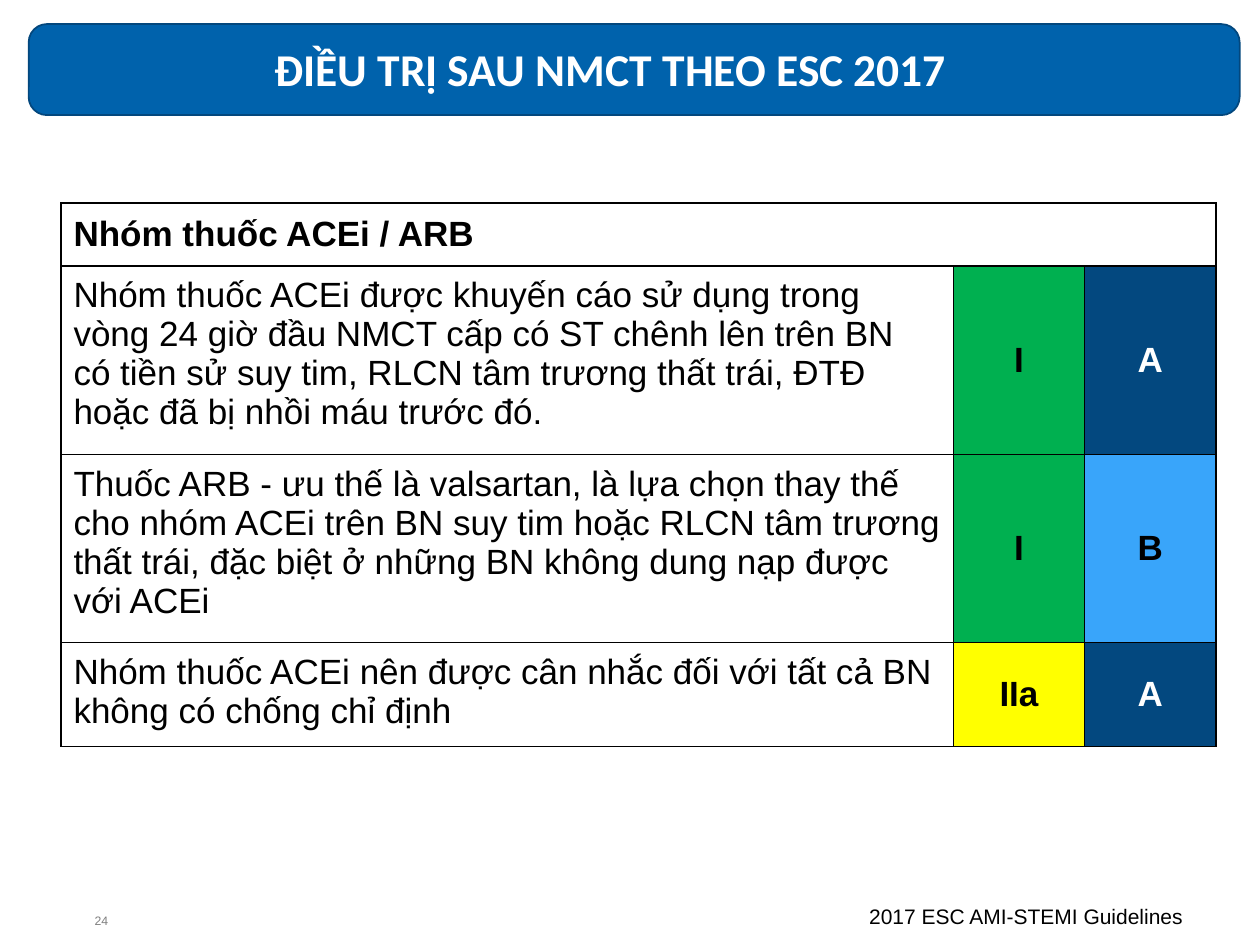
from lxml import etree
from pptx import Presentation
from pptx.dml.color import RGBColor
from pptx.enum.shapes import MSO_SHAPE
from pptx.enum.text import MSO_ANCHOR, PP_ALIGN
from pptx.oxml.ns import qn
from pptx.util import Pt

ROUNDED = MSO_SHAPE.ROUNDED_RECTANGLE
MIDDLE, TOP = MSO_ANCHOR.MIDDLE, MSO_ANCHOR.TOP
LEFT, CENTER = PP_ALIGN.LEFT, PP_ALIGN.CENTER

WHITE = RGBColor(0xFF, 0xFF, 0xFF)
BLACK = RGBColor(0x00, 0x00, 0x00)
GRAY = RGBColor(0x7F, 0x7F, 0x7F)
BLUE = RGBColor(0x00, 0x62, 0xAC)
BLUE_EDGE = RGBColor(0x03, 0x47, 0x7D)
NAVY = RGBColor(0x03, 0x48, 0x7F)
SKY = RGBColor(0x39, 0xA5, 0xFA)
GREEN = RGBColor(0x00, 0xB0, 0x50)
YELLOW = RGBColor(0xFF, 0xFF, 0x00)

CLASS_FILLS = {"I": GREEN, "IIa": YELLOW}
LEVEL_STYLES = {"A": (NAVY, WHITE), "B": (SKY, BLACK)}

TONED_LETTERS = {
    0x301: ("áấắếóốớ", "aâăêoôơ"),
    0x300: ("àầềòồờ", "aâêoôơ"),
    0x309: ("ảỉởử", "aiơư"),
    0x303: ("ãữ", "aư"),
    0x323: ("ạặệịọợụự", "aăêioơuư"),
}
COMBINING_TONES = {
    ord(toned): base + chr(mark)
    for mark, (toned_row, base_row) in TONED_LETTERS.items()
    for toned, base in zip(toned_row, base_row)
}

TITLE = "ĐIỀU TRỊ SAU NMCT THEO ESC 2017"
GROUP = "Nhóm thuốc ACEi / ARB"
RECOMMENDATIONS = [
    ("Nhóm thuốc ACEi được khuyến cáo sử dụng trong vòng 24 giờ đầu NMCT cấp có ST "
     "chênh lên trên BN có tiền sử suy tim, RLCN tâm trương thất trái, ĐTĐ hoặc đã bị "
     "nhồi máu trước đó.", "I", "A"),
    ("Thuốc ARB - ưu thế là valsartan, là lựa chọn thay thế cho nhóm ACEi trên BN suy "
     "tim hoặc RLCN tâm trương thất trái, đặc biệt ở những BN không dung nạp được với "
     "ACEi", "I", "B"),
    ("Nhóm thuốc ACEi nên được cân nhắc đối với tất cả BN không có chống chỉ định",
     "IIa", "A"),
]
COLUMN_WIDTHS = [510, 75, 75]
ROW_HEIGHTS = [36, 107.2, 107.4, 59.4]


def set_text(tf, text, size, color, bold=False, font="Arial", align=LEFT):
    p = tf.paragraphs[0]
    p.text = text
    p.alignment = align
    p.font.name = font
    p.font.size = Pt(size)
    p.font.bold = bold
    p.font.color.rgb = color


def add_text(slide, left, top, width, height, text, size, color, inset=True, **style):
    tf = slide.shapes.add_textbox(Pt(left), Pt(top), Pt(width), Pt(height)).text_frame
    tf.word_wrap = True
    if not inset:
        tf.margin_left = tf.margin_top = tf.margin_right = tf.margin_bottom = 0
    set_text(tf, text, size, color, **style)


def add_banner(slide, left, top, width, height):
    sp = slide.shapes.add_shape(ROUNDED, Pt(left), Pt(top), Pt(width), Pt(height))
    sp.adjustments[0] = 0.2
    sp.shadow.inherit = False
    sp.fill.solid()
    sp.fill.fore_color.rgb = BLUE
    sp.line.color.rgb = BLUE_EDGE
    sp.line.width = Pt(1)
    add_text(slide, left + 133.2, top + 6.2, 552, 39, TITLE, 26, WHITE,
             bold=True, font="Calibri")


def set_borders(cell):
    tcPr = cell._tc.get_or_add_tcPr()
    for i, side in enumerate(("lnL", "lnR", "lnT", "lnB")):
        ln = etree.Element(qn(f"a:{side}"), w=str(Pt(1)))
        fill = etree.SubElement(ln, qn("a:solidFill"))
        etree.SubElement(fill, qn("a:srgbClr"), val=str(BLACK))
        tcPr.insert(i, ln)


def fill_cell(cell, text, fill, color=BLACK, bold=True, align=CENTER, anchor=MIDDLE):
    cell.fill.solid()
    cell.fill.fore_color.rgb = fill
    cell.vertical_anchor = anchor
    if align == LEFT:
        cell.margin_top = cell.margin_bottom = Pt(5.76)
    set_text(cell.text_frame, text.translate(COMBINING_TONES), 20, color, bold, align=align)


def add_recommendations(slide, left, top):
    table = slide.shapes.add_table(
        len(ROW_HEIGHTS), len(COLUMN_WIDTHS), Pt(left), Pt(top),
        Pt(sum(COLUMN_WIDTHS)), Pt(sum(ROW_HEIGHTS))).table
    for column, width in zip(table.columns, COLUMN_WIDTHS):
        column.width = Pt(width)
    for row, height in zip(table.rows, ROW_HEIGHTS):
        row.height = Pt(height)

    table.cell(0, 0).merge(table.cell(0, len(COLUMN_WIDTHS) - 1))
    fill_cell(table.cell(0, 0), GROUP, WHITE, align=LEFT)
    for i, (advice, grade, level) in enumerate(RECOMMENDATIONS, start=1):
        level_fill, level_color = LEVEL_STYLES[level]
        fill_cell(table.cell(i, 0), advice, WHITE, bold=False, align=LEFT, anchor=TOP)
        fill_cell(table.cell(i, 1), grade, CLASS_FILLS[grade])
        fill_cell(table.cell(i, 2), level, level_fill, level_color)
    for cell in table.iter_cells():
        set_borders(cell)


def add_footer(slide, left, top):
    add_text(slide, left, top + 9.4, 18, 18, "24", 7, GRAY, inset=False)
    add_text(slide, left + 435.6, top, 216, 21.6, "2017 ESC AMI-STEMI Guidelines", 12, BLACK)


def main():
    prs = Presentation()
    prs.slide_width, prs.slide_height = Pt(720), Pt(540)
    slide = prs.slides.add_slide(prs.slide_layouts[6])
    add_banner(slide, 16.4, 13.8, 692, 52)
    add_recommendations(slide, 34.8, 116)
    add_footer(slide, 54, 512.6)
    prs.save("out.pptx")


if __name__ == "__main__":
    main()
